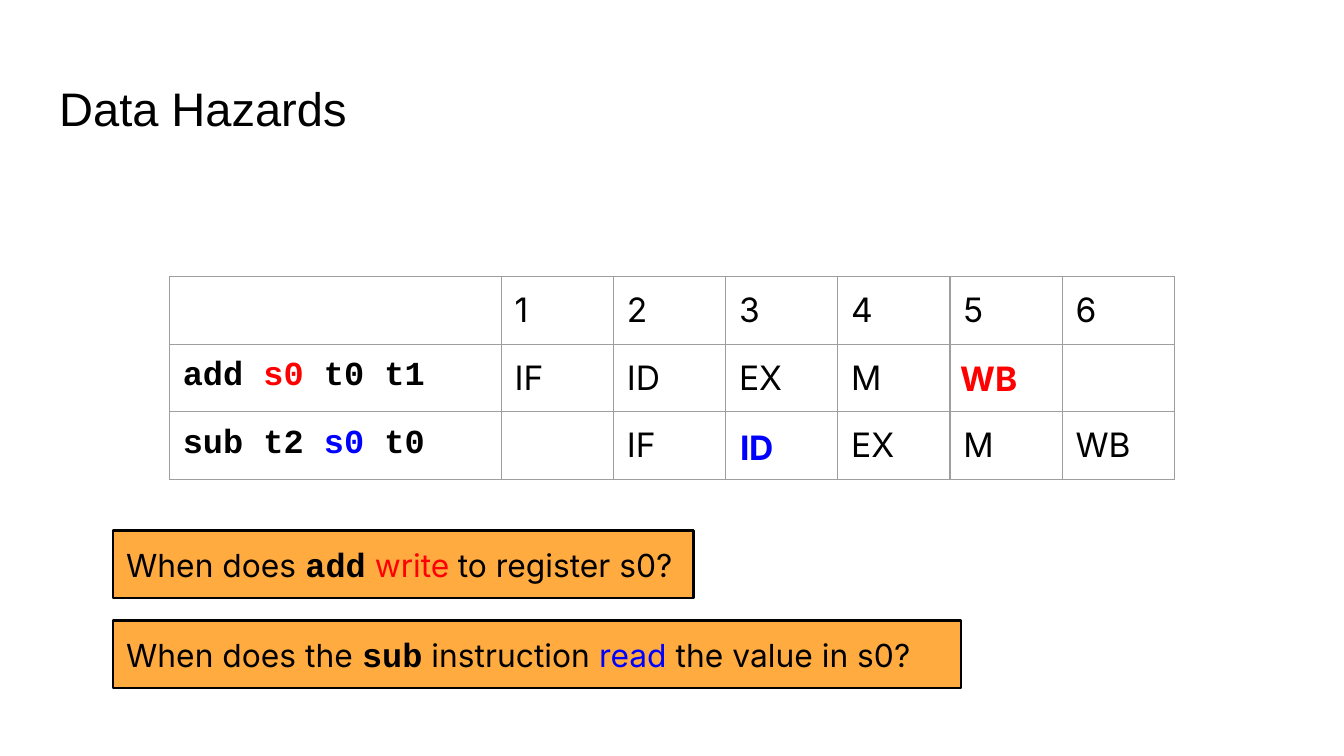
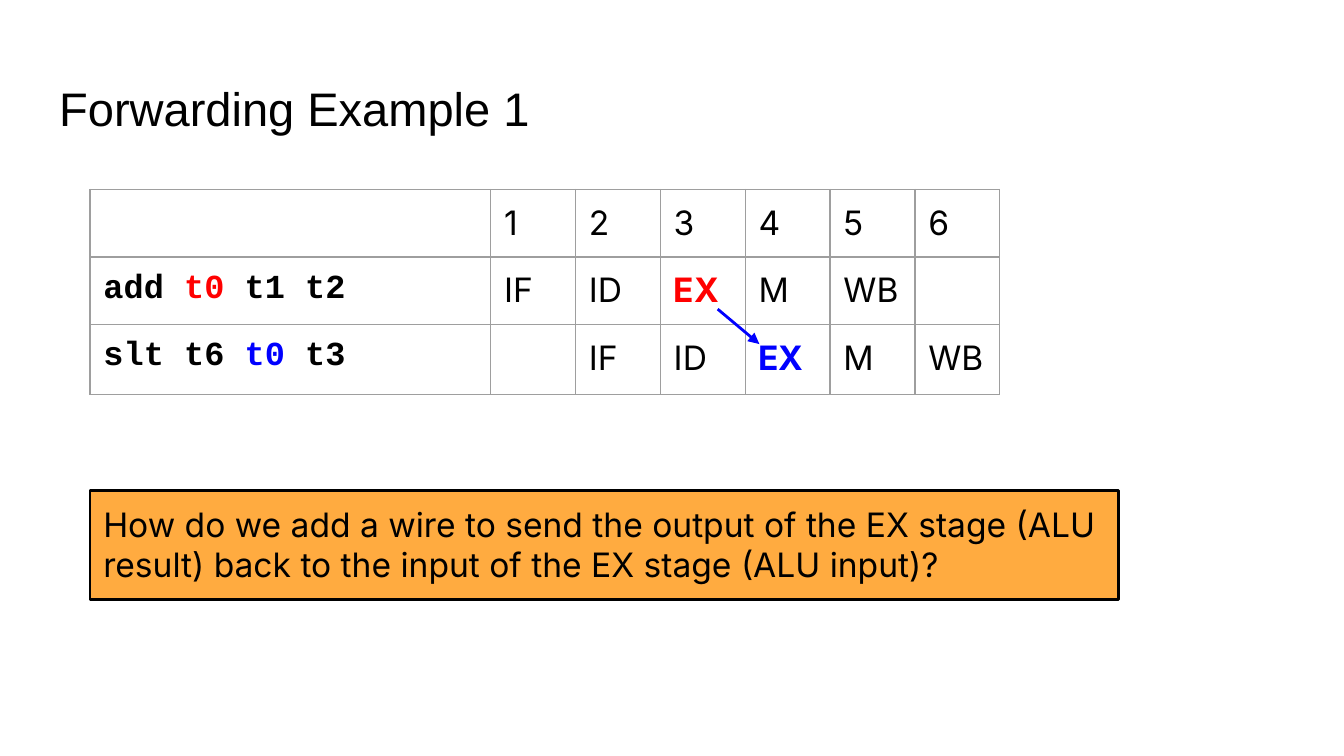
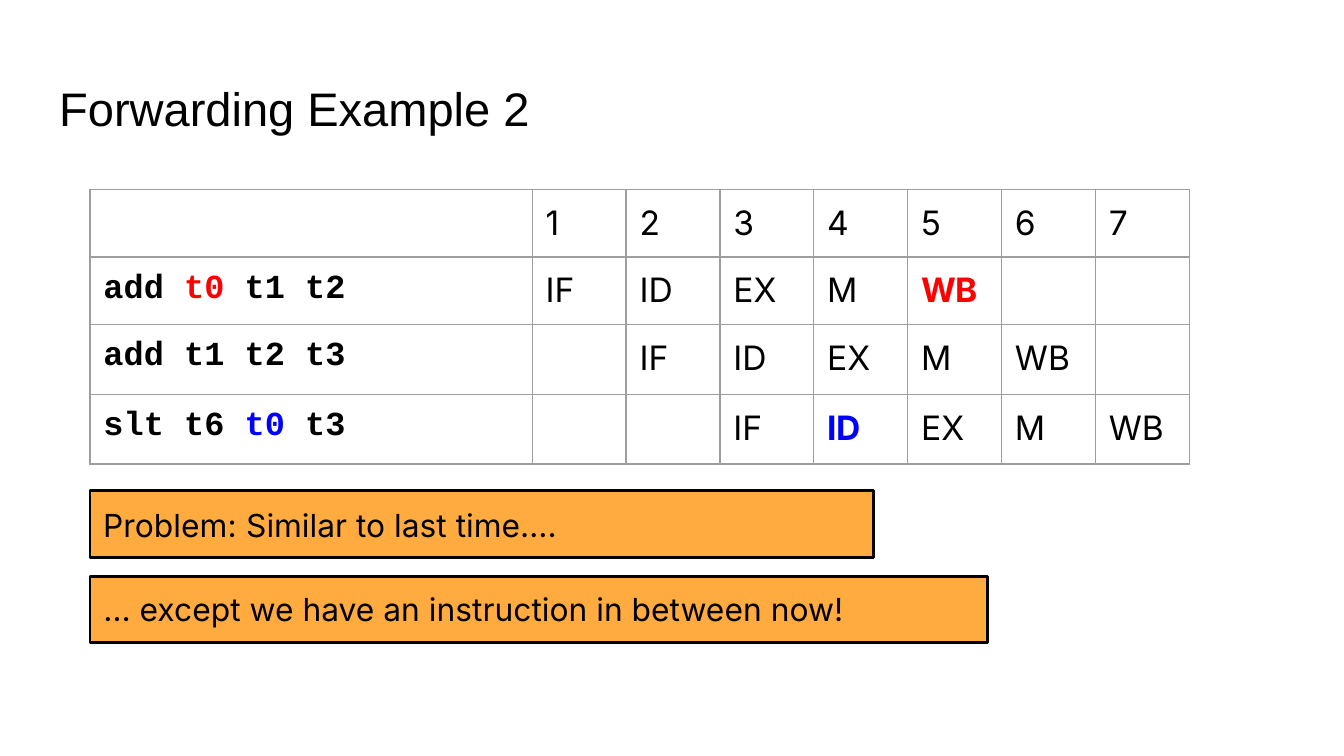
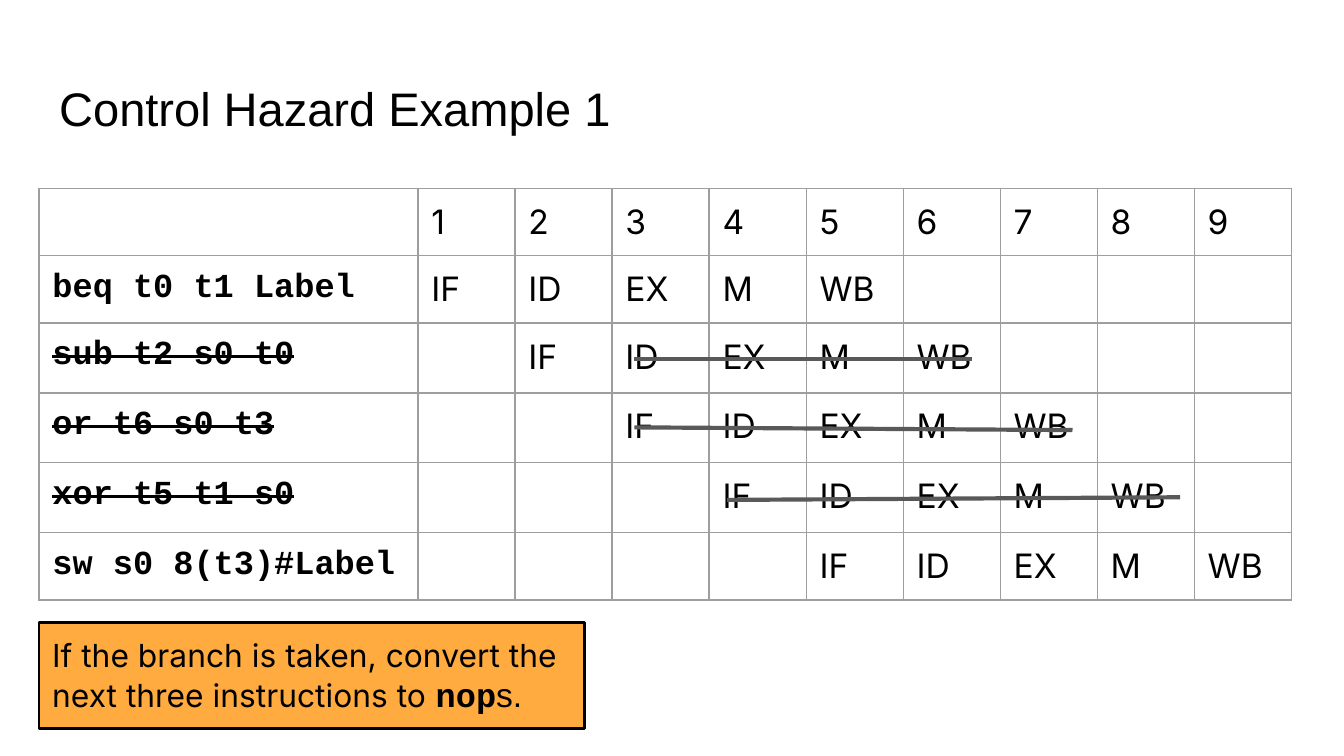
"""Build four slides on pipeline hazards."""
import pptx
import pptx.dml.color
import pptx.enum.shapes
import pptx.enum.text
import pptx.oxml
import pptx.oxml.ns
import pptx.util

PX = 9144
BLACK, RED, BLUE, GREY = "000000", "FF0000", "0000FF", "595959"
ORANGE, WHITE, RULE = "FFAB40", "FFFFFF", "9E9E9E"
STAGES = ["IF", "ID", "EX", "M", "WB"]
TITLE = (34, 49, 932, 63)
STYLES = {
    "title": (25.2, "Arial", BLACK, False),
    "text": (17, "Inter", BLACK, False),
    "cell": (18, "Inter", BLACK, False),
    "red": (17, "Inter", RED, False),
    "blue": (17, "Inter", BLUE, False),
    "gap": (16, "Inter", BLACK, False),
    "arial": (18, "Arial", BLACK, False),
    "code": (18, "Courier New", BLACK, True),
    "code red": (18, "Courier New", RED, True),
    "code blue": (18, "Courier New", BLUE, True),
    "hot red": (18, "Inter", RED, True),
    "hot blue": (18, "Inter", BLUE, True),
}
ADD = [("add ", "code"), ("t0", "code red"), (" t1 t2", "code")]
SLT = [("slt t6 ", "code"), ("t0", "code blue"), (" t3", "code")]

SLIDES = [
    {
        "title": "Data Hazards",
        "grid": (126, 206, 748, 247),
        "heights": [50, 50, 50],
        "rows": [
            {"code": [("add ", "code"), ("s0", "code red"), (" t0 t1", "code")]},
            {"code": [("sub t2 ", "code"), ("s0", "code blue"), (" t0", "code")]},
        ],
        "boxes": [
            ((84, 395, 432, 50), [
                ("When does ", "text"), ("add", "code"), (" ", "text"), ("write", "red"),
                (" ", "gap"), ("to register s0?", "text")]),
            ((84, 462, 631, 50), [
                ("When does the ", "text"), ("sub", "code"), (" instruction ", "text"),
                ("read", "blue"), (" the value in s0?", "text")]),
        ],
        "marks": [
            ((715, 266, 68, 30), [("WB", "hot red")]),
            ((551, 318, 48, 30), [("ID", "hot blue")]),
        ],
    },
    {
        "title": "Forwarding Example 1",
        "grid": (67, 141, 677, 298),
        "heights": [50, 50, 52],
        "rows": [
            {"code": ADD, "hot": ("EX", "hot red")},
            {"code": SLT, "hot": ("EX", "hot blue")},
        ],
        "boxes": [
            ((67, 365, 765, 81), [
                ("How do we add a wire to send the output of the EX stage (ALU result) "
                 "back to the input of the EX stage (ALU input)?", "cell")]),
        ],
        "lines": [((534, 230, 565, 256), BLUE, 1.5, True)],
    },
    {
        "title": "Forwarding Example 2",
        "grid": (67, 141, 818, 329),
        "heights": [50, 50, 52, 52],
        "rows": [
            {"code": ADD, "hot": ("WB", "hot red")},
            {"code": [("add t1 t2 t3", "code")]},
            {"code": SLT, "hot": ("ID", "hot blue")},
        ],
        "boxes": [
            ((67, 365, 583, 50), [
                ("Problem:", "text"), (" ", "arial"), ("Similar to last time….", "text")]),
            ((67, 429, 668, 49), [
                ("… except we have an instruction in between now!", "text")]),
        ],
    },
    {
        "title": "Control Hazard Example 1",
        "grid": (29, 140, 932, 282),
        "heights": [50, 50, 52, 52, 52, 50],
        "rows": [
            {"code": [("beq t0 t1 Label", "code")]},
            {"code": [("sub t2 s0 t0", "code")], "struck": True},
            {"code": [("or t6 s0 t3", "code")], "struck": True},
            {"code": [("xor t5 t1 s0", "code")], "struck": True},
            {"code": [("sw s0 8(t3)#Label", "code")]},
        ],
        "boxes": [
            ((29, 463, 406, 79), [
                ("If the branch is taken, convert the next three instructions to", "text"),
                (" ", "arial"), ("nop", "code"), ("s.", "arial")]),
        ],
        "lines": [
            ((472, 267, 723, 267), GREY, 2.25, False),
            ((472, 318, 798, 320), GREY, 2.25, False),
            ((541, 372, 878, 370), GREY, 2.25, False),
        ],
    },
]


def emu(*sizes):
    return [round(size * PX) for size in sizes]


def tint(code):
    return pptx.dml.color.RGBColor.from_string(code)


def node(tag, inner="", **attrs):
    extra = "".join(f' {key}="{val}"' for key, val in attrs.items())
    space = pptx.oxml.ns.nsdecls("a")
    return pptx.oxml.parse_xml(f"<a:{tag} {space}{extra}>{inner}</a:{tag}>")


def write(frame, runs, struck=False):
    para = frame.paragraphs[0]
    para.alignment = pptx.enum.text.PP_ALIGN.LEFT
    for text, style in runs:
        run = para.add_run()
        run.text = text
        font = run.font
        size, font.name, color, font.bold = STYLES[style]
        font.size = pptx.util.Pt(size)
        font.color.rgb = tint(color)
        if struck:
            font._element.set("strike", "sngStrike")


def pad(part, size=10):
    part.margin_left = part.margin_right = part.margin_top = part.margin_bottom = emu(size)[0]


def head(slide, text):
    shape = slide.shapes.title
    shape.left, shape.top, shape.width, shape.height = emu(*TITLE)
    frame = shape.text_frame
    pad(frame)
    frame.auto_size = pptx.enum.text.MSO_AUTO_SIZE.NONE
    frame.vertical_anchor = pptx.enum.text.MSO_ANCHOR.MIDDLE
    write(frame, [(text, "title")])


def box(slide, place, runs, fill=ORANGE, edge=True):
    shape = slide.shapes.add_shape(pptx.enum.shapes.MSO_SHAPE.RECTANGLE, *emu(*place))
    shape.shadow.inherit = False
    shape.fill.solid()
    shape.fill.fore_color.rgb = tint(fill)
    if edge:
        shape.line.color.rgb = tint(BLACK)
        shape.line.width = pptx.util.Pt(1.5)
    else:
        shape.line.fill.background()
    frame = shape.text_frame
    pad(frame, 10 if edge else 0)
    frame.word_wrap = True
    frame.vertical_anchor = pptx.enum.text.MSO_ANCHOR.TOP
    frame.auto_size = pptx.enum.text.MSO_AUTO_SIZE.SHAPE_TO_FIT_TEXT
    write(frame, runs)


def frame_cell(cell):
    pad(cell)
    cell.fill.background()
    cell.text_frame.paragraphs[0]._p.append(node("endParaRPr", sz=1400))
    props = cell._tc.get_or_add_tcPr()
    inner = f'<a:solidFill><a:srgbClr val="{RULE}"/></a:solidFill>'
    for spot, side in enumerate("LRTB"):
        props.insert(spot, node("ln" + side, inner, w=9525))


def grid(slide, place, heights, rows):
    left, top, width, first = place
    count = len(rows) + len(STAGES) - 1
    shape = slide.shapes.add_table(
        len(heights), count + 1, *emu(left, top, width, sum(heights)))
    table = shape.table
    table.first_row = table.horz_banding = False
    widths = [first] + [(width - first) / count] * count
    for column, size in zip(table.columns, emu(*widths)):
        column.width = size
    for row, size in zip(table.rows, emu(*heights)):
        row.height = size
    for cell in table.iter_cells():
        frame_cell(cell)
    for cycle in range(1, count + 1):
        write(table.cell(0, cycle).text_frame, [(str(cycle), "cell")])
    for line, row in enumerate(rows, 1):
        write(table.cell(line, 0).text_frame, row["code"], row.get("struck", False))
        hot, style = row.get("hot", ("", "cell"))
        for step, stage in enumerate(STAGES):
            look = style if stage == hot else "cell"
            write(table.cell(line, line + step).text_frame, [(stage, look)])


def stroke(slide, ends, color, width, arrow):
    line = slide.shapes.add_connector(pptx.enum.shapes.MSO_CONNECTOR.STRAIGHT, *emu(*ends))
    line.line.color.rgb = tint(color)
    line.line.width = pptx.util.Pt(width)
    if arrow:
        line.line._get_or_add_ln().append(node("tailEnd", type="triangle"))
    line._element.spPr.append(node("effectLst"))


def main():
    deck = pptx.Presentation()
    deck.slide_width, deck.slide_height = emu(1000, 562.5)
    for data in SLIDES:
        slide = deck.slides.add_slide(deck.slide_layouts[5])
        head(slide, data["title"])
        grid(slide, data["grid"], data["heights"], data["rows"])
        for place, runs in data["boxes"]:
            box(slide, place, runs)
        for place, runs in data.get("marks", []):
            box(slide, place, runs, WHITE, False)
        for item in data.get("lines", []):
            stroke(slide, *item)
    deck.save("out.pptx")


if __name__ == "__main__":
    main()
